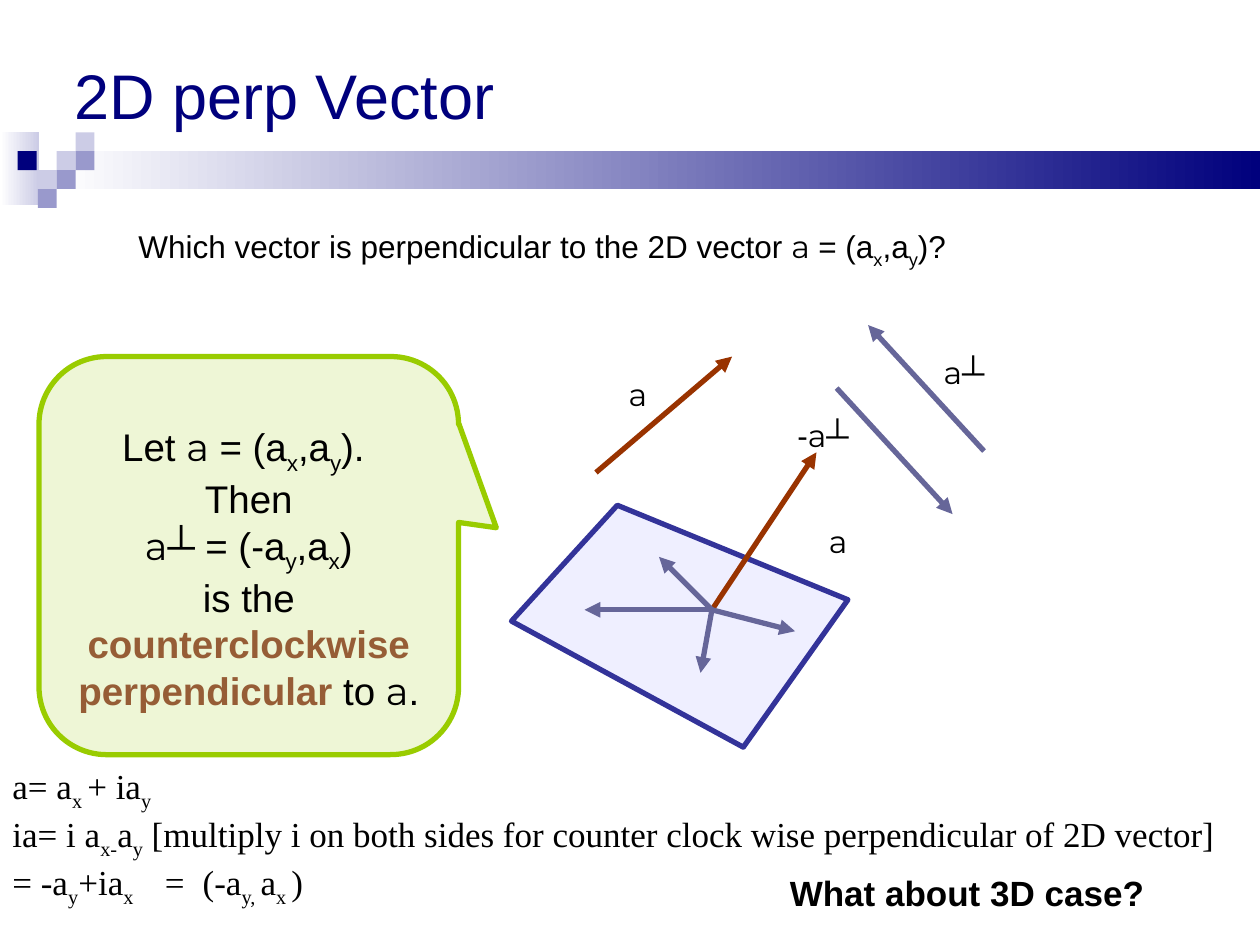
from lxml.etree import SubElement
from pptx import Presentation
from pptx.dml.color import RGBColor
from pptx.enum.shapes import MSO_CONNECTOR as CONN, MSO_SHAPE as SHAPE
from pptx.enum.text import MSO_ANCHOR as ANCHOR, PP_ALIGN as ALIGN
from pptx.oxml.ns import qn
from pptx.util import Inches, Pt

COLORS = {"black": "000000", "navy": "00007D", "pale": "CCCCE6", "mid": "9999CC",
          "white": "FFFFFF", "green": "99CC00", "brown": "965D36", "rust": "993300",
          "slate": "666699", "indigo": "333399", "plane": "9999FF"}
STYLES = {"n": {}, "sub": {}, "vec": {"name": "Montserrat"}, "bold": {"bold": True},
          "key": {"bold": True}}

TITLE = "2D perp Vector"
BANDS = [(0, 1.05, 0.31, 0.58, "pale"), (0.45, 1.2, 9.55, 0.3, "navy")]
SQUARE = 0.15
SQUARES = [(0.45, 1.2, "pale"), (0.6, 1.05, "pale"), (0.6, 1.2, "mid"),
           (0.3, 1.35, "pale"), (0.14, 1.2, "navy"), (0.45, 1.35, "mid"),
           (0.3, 1.5, "mid")]

QUESTION = [[("Which vector is perpendicular to the 2D vector ", "n"), ("a ", "vec"),
             ("= (a", "n"), ("x", "sub"), (",a", "n"), ("y", "sub"), (")?", "n")]]
CALLOUT = [
    [("Let ", "n"), ("a", "vec"), (" = (a", "n"), ("x", "sub"), (",a", "n"),
     ("y", "sub"), ("). ", "n")],
    [("Then", "n")],
    [("a", "vec"), ("┴ = (-a", "n"), ("y", "sub"), (",a", "n"), ("x", "sub"), (")", "n")],
    [("is the ", "n"), ("counterclockwise perpendicular", "key"), (" to ", "n"),
     ("a", "vec"), (".", "n")],
]
DERIVATION = [
    [("a= a", "n"), ("x ", "sub"), ("+ ia", "n"), ("y", "sub")],
    [("ia= i a", "n"), ("x-", "sub"), ("a", "n"), ("y", "sub"),
     (" [multiply i on both sides for counter clock wise perpendicular of 2D vector]", "n")],
    [("= -a", "n"), ("y", "sub"), ("+ia", "n"), ("x", "sub"), ("\t=\t(-a", "n"),
     ("y, ", "sub"), ("a", "n"), ("x ", "sub"), (")", "n")],
]
DERIVATION_TABS = [1.21, 1.51]
CLOSING = [[("What about 3D case?", "bold")]]

VECTOR = [("a", "vec")]
PERP = [("a", "vec"), ("┴", "n")]
LABELS = [(7.39, 2.75, PERP), (6.23, 3.25, [("-", "n")] + PERP),
          (4.89, 2.93, VECTOR), (6.48, 4.09, VECTOR)]

PLANE = [(4.06, 4.93), (4.9, 4.01), (6.73, 4.76), (5.9, 5.93)]
ORIGIN = (5.65, 4.84)
FLAT_ARROWS = [((4.73, 3.75), (5.81, 2.83), "rust"),
               ((7.81, 3.58), (6.89, 2.58), "slate"),
               ((6.64, 3.08), (7.56, 4.08), "slate")]
PLANE_ARROWS = [(ORIGIN, end, color) for end, color in [
    ((6.48, 3.59), "rust"), ((5.23, 4.42), "slate"), ((4.64, 4.84), "slate"),
    ((5.56, 5.34), "slate"), ((6.31, 5.01), "slate")]]


def rgb(name):
    return RGBColor.from_string(COLORS[name])


def paint(sp, color, alpha=None, line=None):
    sp.shadow.inherit = False
    sp.fill.solid()
    sp.fill.fore_color.rgb = rgb(color)
    if alpha:
        clr = sp.fill._xPr.find(qn("a:solidFill"))[0]
        SubElement(clr, qn("a:alpha")).set("val", str(alpha * 1000))
    if line:
        sp.line.color.rgb = rgb(line)
        sp.line.width = Pt(3)
    else:
        sp.line.fill.background()


def write(tf, paragraphs, size, font="Arial", align=ALIGN.LEFT, tabs=()):
    tf.word_wrap = True
    for i, runs in enumerate(paragraphs):
        p = tf.paragraphs[0] if i == 0 else tf.add_paragraph()
        p.alignment = align
        if tabs:
            tab_list = SubElement(p._p.get_or_add_pPr(), qn("a:tabLst"))
            for pos in tabs:
                tab = SubElement(tab_list, qn("a:tab"))
                tab.set("pos", str(Inches(pos)))
                tab.set("algn", "l")
        for text, style in runs:
            r = p.add_run()
            r.text = text
            values = {"name": font, "size": Pt(size), "bold": False, **STYLES[style]}
            for key, value in values.items():
                setattr(r.font, key, value)
            r.font.color.rgb = rgb("brown" if style == "key" else "black")
            if style == "sub":
                r._r.get_or_add_rPr().set("baseline", "-25000")


def add_text(s, x, y, w, h, paragraphs, size, **options):
    box = s.shapes.add_textbox(Inches(x), Inches(y), Inches(w), Inches(h))
    write(box.text_frame, paragraphs, size, **options)


def add_rect(s, x, y, w, h, color):
    sp = s.shapes.add_shape(SHAPE.RECTANGLE, Inches(x), Inches(y), Inches(w), Inches(h))
    paint(sp, color)
    return sp


def add_arrow(s, start, end, color):
    c = s.shapes.add_connector(CONN.STRAIGHT, *[Inches(v) for v in start + end])
    c.line.color.rgb = rgb(color)
    c.line.width = Pt(3)
    SubElement(c.line._get_or_add_ln(), qn("a:tailEnd")).set("type", "triangle")
    SubElement(c._element.spPr, qn("a:effectLst"))


def add_header(s):
    for x, y, w, h, color in BANDS:
        sp = add_rect(s, x, y, w, h, color)
        sp.fill.gradient()
        sp.fill.gradient_angle = 0
        for stop, pos, name in zip(sp.fill.gradient_stops, (0, 1), ("white", color)):
            stop.position = pos
            stop.color.rgb = rgb(name)
    for x, y, color in SQUARES:
        add_rect(s, x, y, SQUARE, SQUARE, color)
    title = s.shapes.title
    title.left, title.top, title.width, title.height = map(Inches, (0.49, 0, 9, 1.5))
    tf = title.text_frame
    tf.text = TITLE
    tf.vertical_anchor = ANCHOR.MIDDLE
    p = tf.paragraphs[0]
    p.alignment = ALIGN.LEFT
    for key, value in {"name": "Arial", "size": Pt(36)}.items():
        setattr(p.runs[0].font, key, value)
    p.runs[0].font.color.rgb = rgb("navy")


def add_callout(s):
    sp = s.shapes.add_shape(SHAPE.ROUNDED_RECTANGULAR_CALLOUT, Inches(0.31), Inches(2.83),
                            Inches(3.33), Inches(3.16))
    for i, value in enumerate((0.59, -0.07, 0.17)):
        sp.adjustments[i] = value
    paint(sp, "green", 16, "green")
    tf = sp.text_frame
    tf.vertical_anchor = ANCHOR.TOP
    tf.margin_top = Inches(0.37)
    write(tf, CALLOUT, 22, align=ALIGN.CENTER)


def add_plane(s):
    points = [(Inches(x), Inches(y)) for x, y in PLANE]
    fb = s.shapes.build_freeform(*points[0])
    fb.add_line_segments(points[1:], close=True)
    paint(fb.convert_to_shape(), "plane", 15, "indigo")


def main():
    prs = Presentation()
    prs.slide_width, prs.slide_height = Inches(10), Inches(7.5)
    s = prs.slides.add_slide(prs.slide_layouts[5])
    add_header(s)
    add_text(s, 1, 1.75, 8.08, 0.44, QUESTION, 18)
    add_callout(s)
    add_plane(s)
    for arrow in FLAT_ARROWS + PLANE_ARROWS:
        add_arrow(s, *arrow)
    for x, y, runs in LABELS:
        add_text(s, x, y, 0.83, 0.4, [runs], 18)
    add_text(s, 6.17, 6.87, 3.33, 0.44, CLOSING, 20)
    add_text(s, 0, 6.02, 10, 1.57, DERIVATION, 20, font="Times New Roman",
             tabs=DERIVATION_TABS)
    prs.save("out.pptx")


if __name__ == "__main__":
    main()
